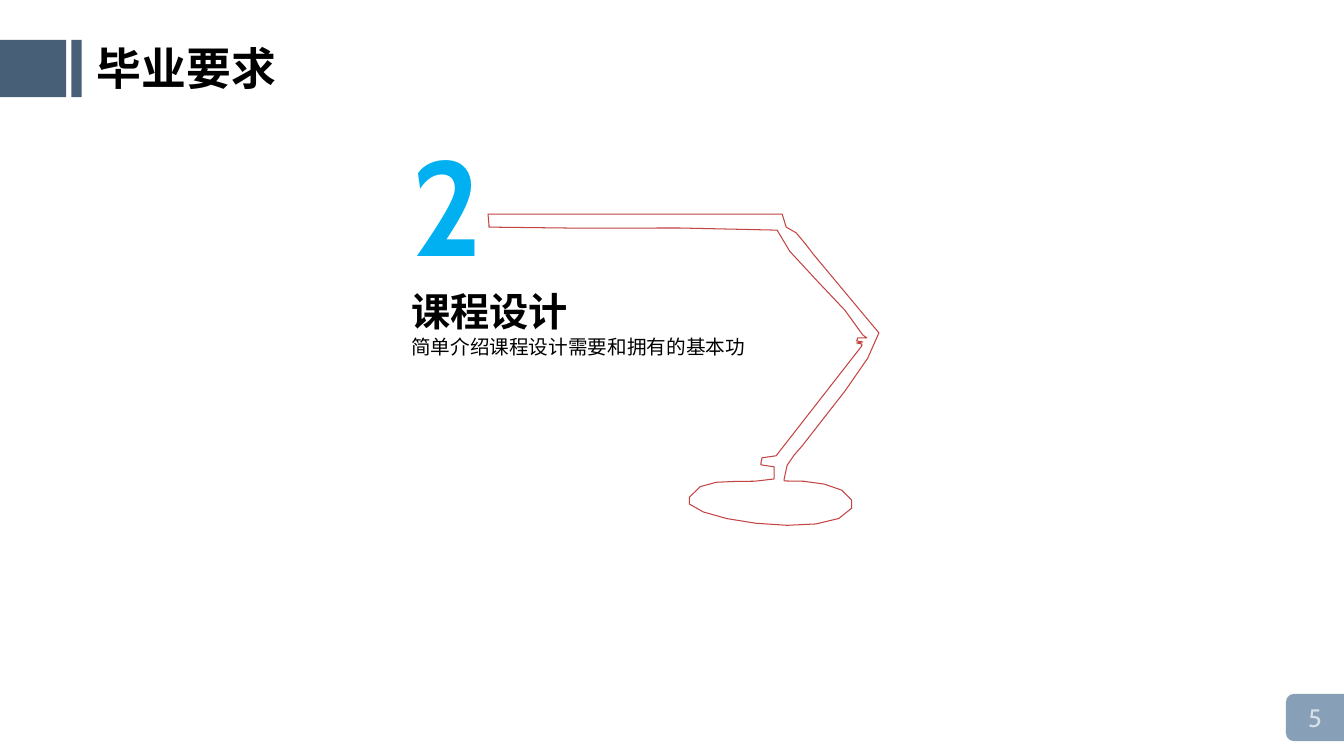
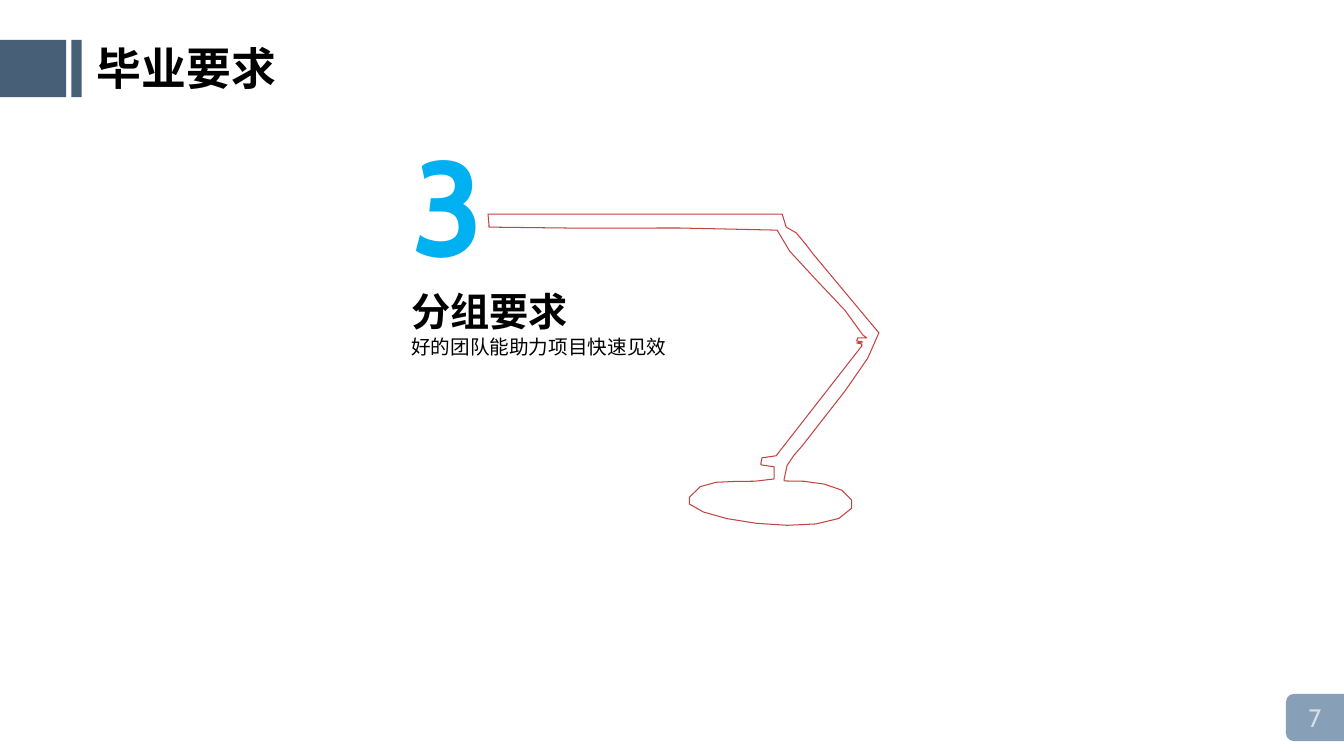
from math import hypot, sqrt

from pptx import Presentation
from pptx.dml.color import RGBColor
from pptx.enum.shapes import MSO_SHAPE as Shape
from pptx.enum.text import MSO_ANCHOR as Anchor, MSO_AUTO_SIZE as AutoSize, PP_ALIGN as Align
from pptx.util import Pt

SLATE = RGBColor(0x47, 0x5F, 0x77)
MIST = RGBColor(0x87, 0x9F, 0xB7)
PALE = RGBColor(0xD7, 0xDF, 0xE7)
SKY = RGBColor(0x00, 0xB0, 0xF0)
RED = RGBColor(0xC3, 0x43, 0x43)
BLACK = RGBColor(0, 0, 0)
FONT = "Cabin"

SLIDE_W, SLIDE_H = 960, 540
TITLE = "毕业要求"
SECTIONS = [
    ("5", "2", "课程设计", "简单介绍课程设计需要和拥有的基本功"),
    ("7", "3", "分组要求", "好的团队能助力项目快速见效"),
]

# Desk lamp outline on a grid 388 wide: pairs are line ends, sixes are Bézier curves
LAMP_GRID = 388
LAMP_START = (1, 11)
LAMP_STEPS = [
    # underside of the head and the upper arm
    (1, 13), (86, 14), (156, 14, 226, 13, 287, 16),
    (289, 36, 361, 94, 372, 120), (376, 123),
    # joint
    (367, 123), (366, 126), (372, 127), (366, 128), (371, 129), (371, 131),
    # inner side of the lower arm
    (286, 240), (282, 242, 280, 242, 272, 242), (271, 247), (271, 249), (284, 251), (284, 263),
    # foot
    (254, 270, 213, 257, 200, 281), (200, 288), (218, 307, 346, 322, 361, 292),
    (361, 284), (355, 268, 317, 264, 294, 265), (294, 263),
    # outer side of both arms and top of the head
    (294, 247, 304, 240, 312, 230), (327, 209, 385, 143, 388, 118),
    (323, 40), (316, 32, 306, 14, 296, 13), (292, 0), (0, 0),
]


def write(frame, *lines, color=BLACK, align=Align.LEFT, anchor=Anchor.TOP, wrap=True):
    """Fill a text frame; each line is (text, size, bold)."""
    frame.word_wrap = wrap
    frame.auto_size = AutoSize.NONE
    frame.vertical_anchor = anchor
    for index, (text, size, bold) in enumerate(lines):
        paragraph = frame.add_paragraph() if index else frame.paragraphs[0]
        paragraph.alignment = align
        run = paragraph.add_run()
        run.text = text
        run.font.name = FONT
        run.font.size = Pt(size)
        run.font.bold = bold
        run.font.color.rgb = color


def add_text(slide, left, top, width, height, *lines, **style):
    box = slide.shapes.add_textbox(Pt(left), Pt(top), Pt(width), Pt(height))
    write(box.text_frame, *lines, **style)


def add_block(slide, kind, left, top, width, height, color):
    block = slide.shapes.add_shape(kind, Pt(left), Pt(top), Pt(width), Pt(height))
    block.shadow.inherit = False
    block.fill.solid()
    block.fill.fore_color.rgb = color
    block.line.fill.background()
    return block


def add_header(slide, top, height):
    """Two bands at the left edge and the slide title beside them."""
    for left, width in ((0, 47.3), (51, 7.3)):
        add_block(slide, Shape.RECTANGLE, left, top, width, height, SLATE)
    title = slide.shapes.title
    title.left, title.top = Pt(62), Pt(top - 2.8)
    title.width, title.height = Pt(142.6), Pt(46)
    write(title.text_frame, (TITLE, 32, True), wrap=False)


def add_page_badge(slide, left, top, width, height, number):
    """Tab with rounded left corners, made from a turned top-rounded shape."""
    badge = add_block(slide, Shape.ROUND_2_SAME_RECTANGLE,
                      left + (width - height) / 2, top + (height - width) / 2,
                      height, width, MIST)
    badge.rotation = 270
    add_text(slide, left, top, width, height, (number, 18, False),
             color=PALE, align=Align.CENTER, anchor=Anchor.MIDDLE)


def curve_points(start, curve):
    """Points along a cubic Bézier curve, more of them the more it bends."""
    handles = (curve[:2], curve[2:4])
    end = curve[4:]
    run, rise = end[0] - start[0], end[1] - start[1]
    bend = max(abs(run * (y - start[1]) - rise * (x - start[0])) for x, y in handles)
    steps = max(1, round(1.2 * sqrt(bend / hypot(run, rise))))
    for step in range(1, steps + 1):
        t = step / steps
        u = 1 - t
        yield tuple(u**3 * a + 3 * u * u * t * b + 3 * u * t * t * c + t**3 * d
                    for a, b, c, d in zip(start, *handles, end))


def add_lamp(slide, left, top, width):
    points = [LAMP_START]
    for step in LAMP_STEPS:
        points.extend([step] if len(step) == 2 else curve_points(points[-1], step))
    unit = width / LAMP_GRID
    outline = [(Pt(left + x * unit), Pt(top + y * unit)) for x, y in points]
    builder = slide.shapes.build_freeform(*outline[0])
    builder.add_line_segments(outline[1:], close=True)
    lamp = builder.convert_to_shape()
    lamp.shadow.inherit = False
    lamp.fill.background()
    lamp.line.color.rgb = RED
    lamp.line.width = Pt(0.75)


def add_section(slide, left, top, number, heading, summary):
    """Big number, heading with summary, and the lamp around them."""
    add_text(slide, left, top + 118.3, 283, 58.3, (heading, 28, True), (summary, 14, False))
    add_lamp(slide, left + 62, top + 69.4, 279.2)
    add_text(slide, left, top, 51, 123.8, (number, 96, True), color=SKY)


def build_slide(deck, page, number, heading, summary):
    slide = deck.slides.add_slide(deck.slide_layouts.get_by_name("Title Only"))
    add_page_badge(slide, 918.6, 495.6, SLIDE_W - 918.6, 33.8, page)
    add_header(slide, 28.5, 41)
    add_section(slide, 286.6, 83.5, number, heading, summary)


def main():
    deck = Presentation()
    deck.slide_width, deck.slide_height = Pt(SLIDE_W), Pt(SLIDE_H)
    for section in SECTIONS:
        build_slide(deck, *section)
    deck.save("out.pptx")


if __name__ == "__main__":
    main()
